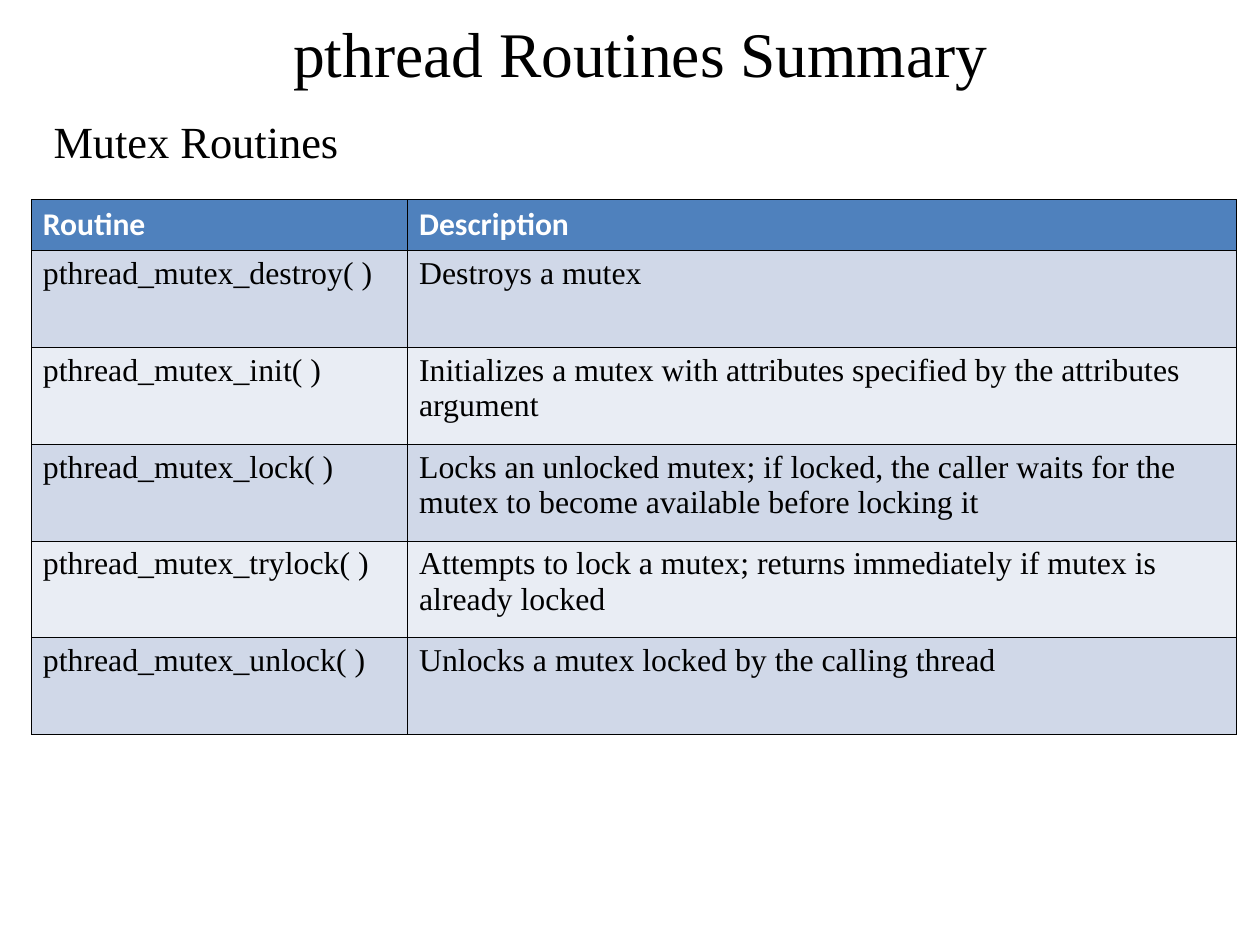
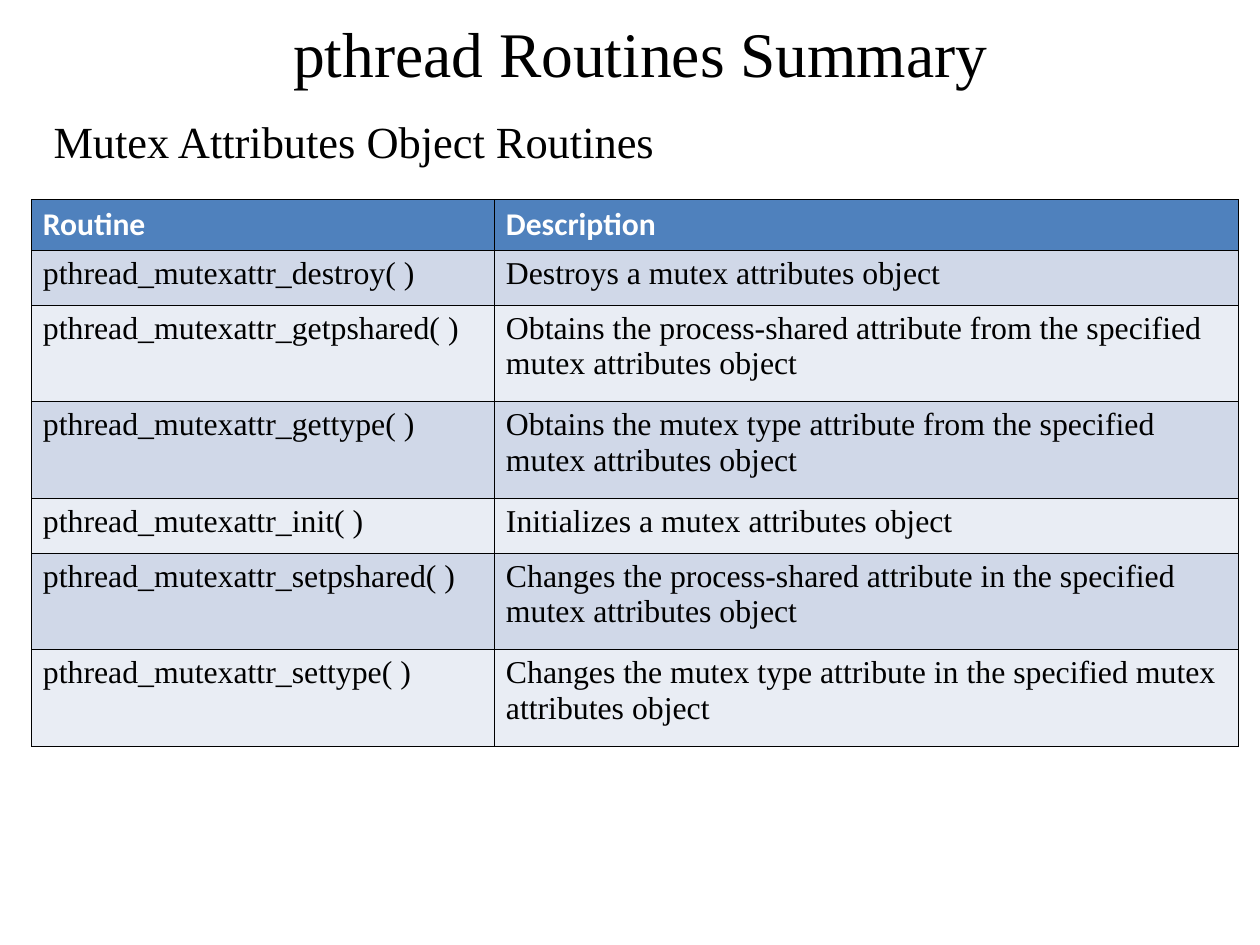
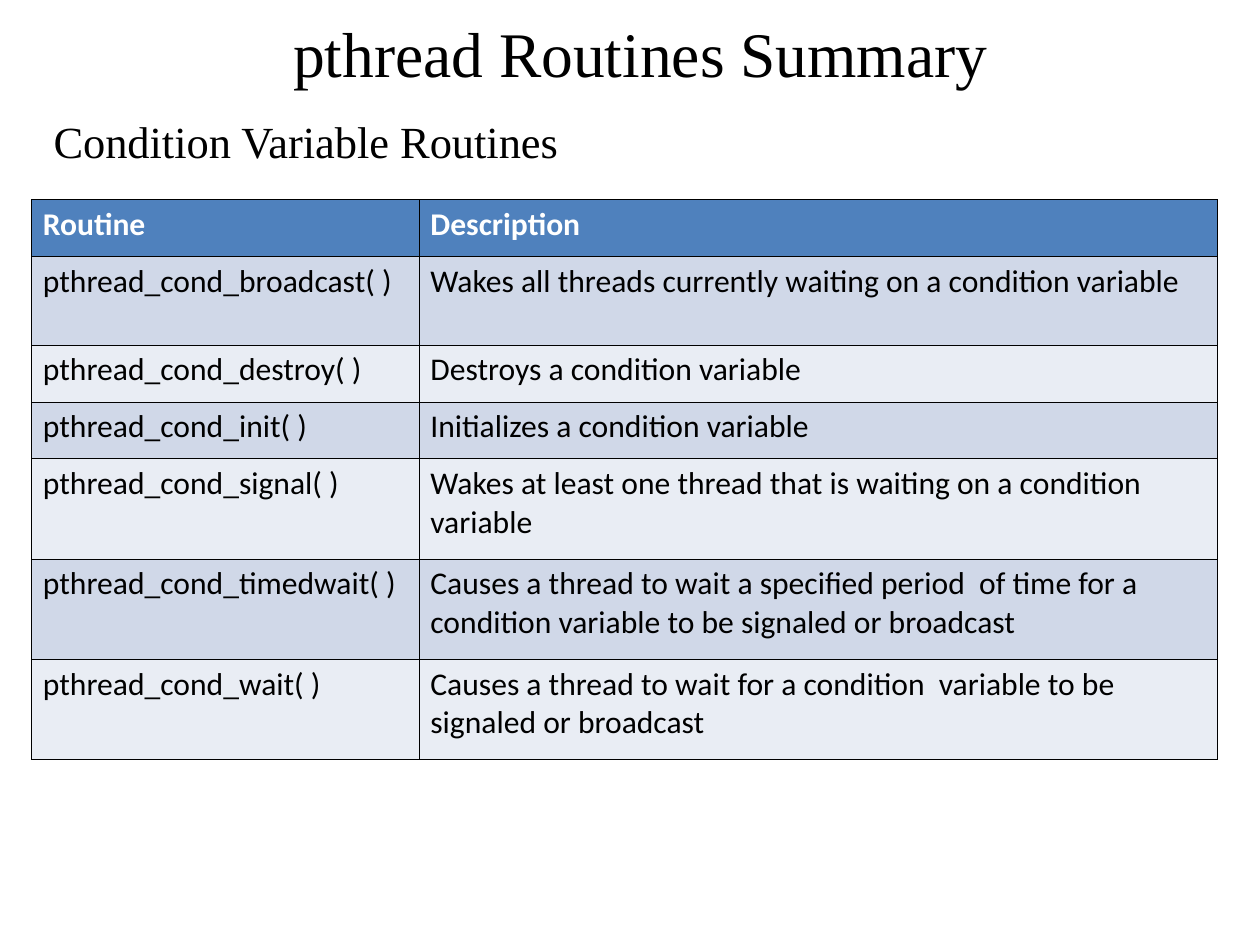
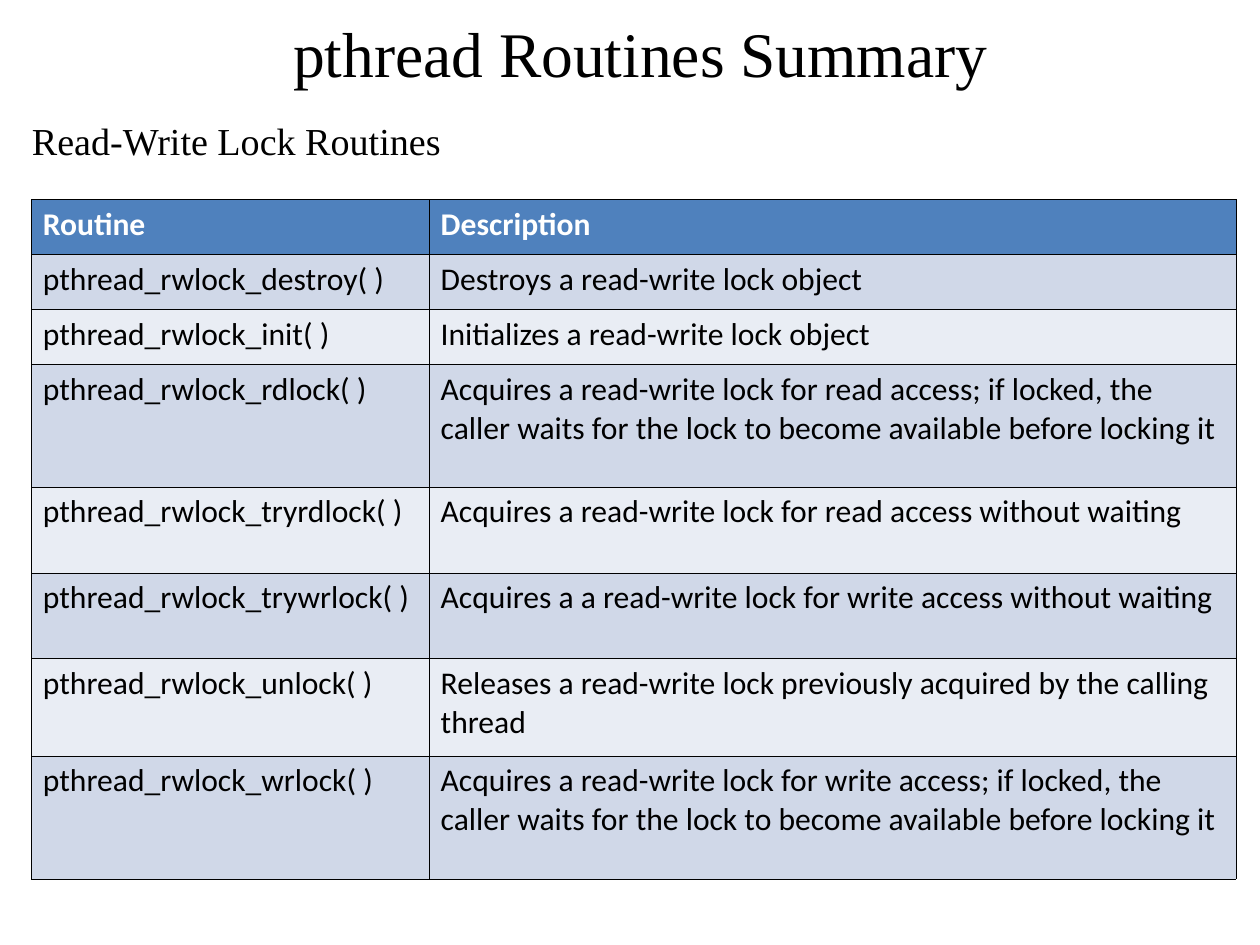
from pptx import Presentation
from pptx.dml.color import RGBColor
from pptx.enum.text import MSO_ANCHOR, MSO_AUTO_SIZE, PP_ALIGN
from pptx.oxml import parse_xml
from pptx.oxml.ns import nsdecls
from pptx.util import Cm, Pt

SERIF, SANS = "Times New Roman", "Calibri"
BLACK, WHITE = "000000", "FFFFFF"
HEADER_FILL = "4F81BD"
BAND_FILLS = ["D0D8E8", "E9EDF4"]
BORDER_WIDTH = Pt(0.45)
TITLE = "pthread Routines Summary"
HEADINGS = ("Routine", "Description")

TITLE_FORMAT = {"name": SERIF, "size": Pt(40), "bold": False}
HEADER_FORMAT = {"name": SANS, "size": Pt(19.9), "bold": True}
SERIF_BODY = {"name": SERIF, "size": Pt(20), "bold": False}
SANS_BODY = {"name": SANS, "size": Pt(19.9), "bold": False}

SECTIONS = [
    {
        "subtitle": "Mutex Routines",
        "body": SERIF_BODY,
        "columns": (8.36, 18.42),
        "header_height": 1.13,
        "rows": [
            (2.15, "pthread_mutex_destroy( )", "Destroys a mutex"),
            (2.15, "pthread_mutex_init( )",
             "Initializes a mutex with attributes specified by the attributes argument"),
            (2.15, "pthread_mutex_lock( )",
             "Locks an unlocked mutex; if locked, the caller waits for the mutex "
             "to become available before locking it"),
            (2.15, "pthread_mutex_trylock( )",
             "Attempts to lock a mutex; returns immediately if mutex is already locked"),
            (2.15, "pthread_mutex_unlock( )", "Unlocks a mutex locked by the calling thread"),
        ],
    },
    {
        "subtitle": "Mutex Attributes Object Routines",
        "body": SERIF_BODY,
        "columns": (10.29, 16.54),
        "header_height": 1.13,
        "rows": [
            (1.21, "pthread_mutexattr_destroy( )", "Destroys a mutex attributes object"),
            (2.15, "pthread_mutexattr_getpshared( )",
             "Obtains the process-shared attribute from the specified mutex attributes object"),
            (2.15, "pthread_mutexattr_gettype( )",
             "Obtains the mutex type attribute from the specified mutex attributes object"),
            (1.21, "pthread_mutexattr_init( )", "Initializes a mutex attributes object"),
            (2.15, "pthread_mutexattr_setpshared( )",
             "Changes the process-shared attribute in the specified mutex attributes object"),
            (2.15, "pthread_mutexattr_settype( )",
             "Changes the mutex type attribute in the specified mutex attributes object"),
        ],
    },
    {
        "subtitle": "Condition Variable Routines",
        "body": SANS_BODY,
        "columns": (8.61, 17.75),
        "header_height": 1.26,
        "rows": [
            (1.97, "pthread_cond_broadcast( )",
             "Wakes all threads currently waiting on a condition variable"),
            (1.26, "pthread_cond_destroy( )", "Destroys a condition variable"),
            (1.26, "pthread_cond_init( )", "Initializes a condition variable"),
            (2.23, "pthread_cond_signal( )",
             "Wakes at least one thread that is waiting on a condition variable"),
            (2.23, "pthread_cond_timedwait( )",
             "Causes a thread to wait a specified period  of time for a condition "
             "variable to be signaled or broadcast"),
            (2.23, "pthread_cond_wait( )",
             "Causes a thread to wait for a condition  variable to be signaled or broadcast"),
        ],
    },
    {
        "subtitle": "Read-Write Lock Routines",
        "subtitle_at": (0.46, 2.39),
        "subtitle_size": 24,
        "body": SANS_BODY,
        "columns": (8.84, 17.93),
        "header_height": 1.22,
        "rows": [
            (1.22, "pthread_rwlock_destroy( )", "Destroys a read-write lock object"),
            (1.22, "pthread_rwlock_init( )", "Initializes a read-write lock object"),
            (2.72, "pthread_rwlock_rdlock( )",
             "Acquires a read-write lock for read access; if locked, the caller waits "
             "for the lock to become available before locking it"),
            (1.91, "pthread_rwlock_tryrdlock( )",
             "Acquires a read-write lock for read access without waiting"),
            (1.91, "pthread_rwlock_trywrlock( )",
             "Acquires a a read-write lock for write access without waiting"),
            (2.16, "pthread_rwlock_unlock( )",
             "Releases a read-write lock previously acquired by the calling thread"),
            (2.73, "pthread_rwlock_wrlock( )",
             "Acquires a read-write lock for write access; if locked, the caller waits "
             "for the lock to become available before locking it"),
        ],
    },
]


def set_color(color_format, color):
    color_format.rgb = RGBColor.from_string(color)


def apply_format(target, values):
    for name, value in values.items():
        setattr(target, name, value)


def write_text(frame, text, font_format, color=BLACK):
    para = frame.paragraphs[0]
    span = para.add_run()
    span.text = text
    apply_format(span.font, font_format)
    set_color(span.font.color, color)
    return para


def add_title(page):
    title = page.shapes.title
    apply_format(title, {"left": Cm(1.63), "top": Cm(0), "width": Cm(25.2), "height": Cm(2.33)})
    frame = title.text_frame
    apply_format(frame, {"auto_size": MSO_AUTO_SIZE.NONE, "word_wrap": True,
                         "vertical_anchor": MSO_ANCHOR.MIDDLE})
    write_text(frame, TITLE, TITLE_FORMAT).alignment = PP_ALIGN.CENTER


def add_subtitle(page, text, position=(0.94, 2.33), size=28):
    left, top = position
    box = page.shapes.add_textbox(Cm(left), Cm(top), Cm(25.2), Cm(1.63))
    apply_format(box.text_frame, {"word_wrap": True, "margin_top": Cm(0.21)})
    write_text(box.text_frame, text, {"name": SERIF, "size": Pt(size), "bold": False})


def add_borders(cell):
    properties = cell._tc.get_or_add_tcPr()
    for side in ("lnL", "lnR", "lnT", "lnB"):
        properties.append(parse_xml(
            f'<a:{side} {nsdecls("a")} w="{BORDER_WIDTH}"><a:solidFill>'
            f'<a:srgbClr val="{BLACK}"/></a:solidFill></a:{side}>'))


def fill_cell(cell, text, font_format, color, fill):
    add_borders(cell)
    cell.fill.solid()
    set_color(cell.fill.fore_color, fill)
    write_text(cell.text_frame, text, font_format, color)


def add_routine_table(page, section):
    rows = [(section["header_height"], *HEADINGS), *section["rows"]]
    widths = section["columns"]
    table = page.shapes.add_table(
        len(rows), len(widths), Cm(0.7), Cm(4.44),
        Cm(sum(widths)), Cm(sum(row[0] for row in rows))).table
    for column, width in zip(table.columns, widths):
        column.width = Cm(width)
    for index, (height, *texts) in enumerate(rows):
        table.rows[index].height = Cm(height)
        if index == 0:
            style = (HEADER_FORMAT, WHITE, HEADER_FILL)
        else:
            style = (section["body"], BLACK, BAND_FILLS[(index - 1) % 2])
        for column, text in enumerate(texts):
            fill_cell(table.cell(index, column), text, *style)


def main():
    deck = Presentation()
    apply_format(deck, {"slide_width": Cm(28), "slide_height": Cm(21)})
    for section in SECTIONS:
        page = deck.slides.add_slide(deck.slide_layouts[5])
        add_title(page)
        add_subtitle(page, section["subtitle"], section.get("subtitle_at", (0.94, 2.33)),
                     section.get("subtitle_size", 28))
        add_routine_table(page, section)
    deck.save("out.pptx")


if __name__ == "__main__":
    main()
